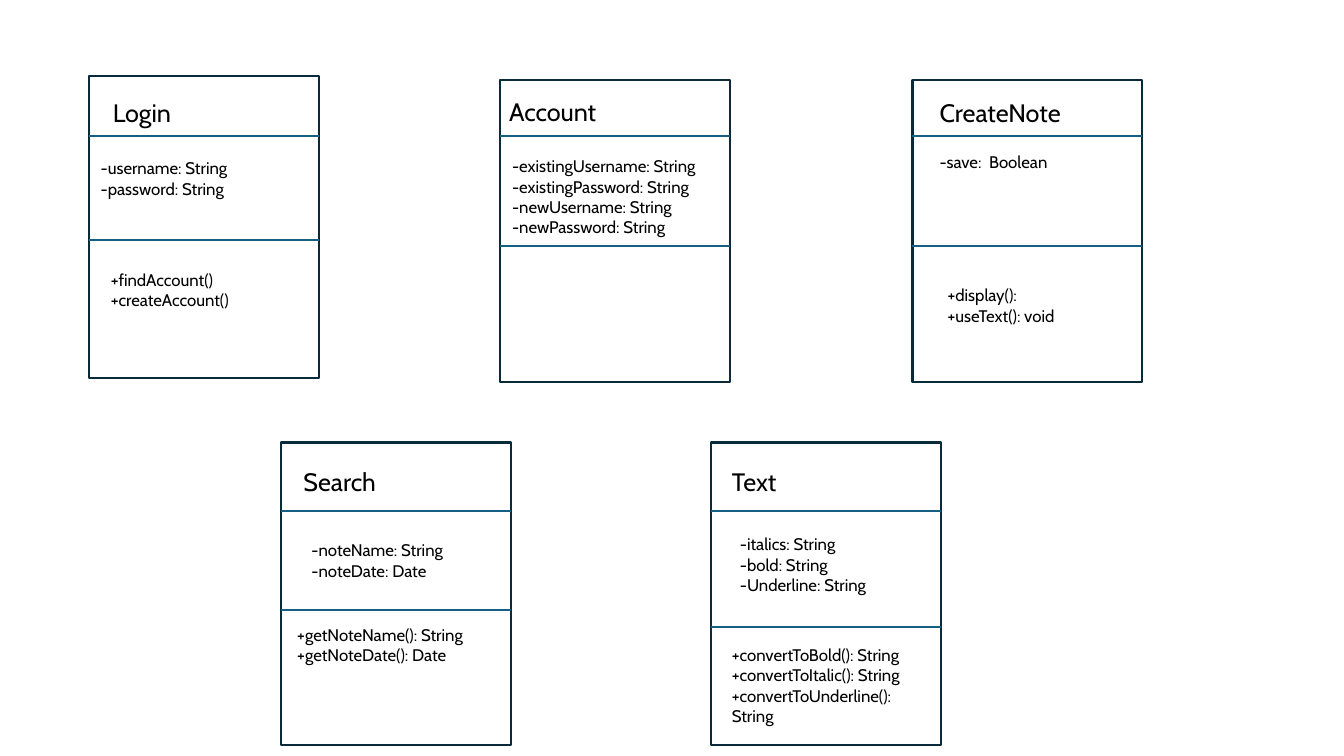
from dataclasses import dataclass

from lxml import etree
from pptx import Presentation
from pptx import util as u
from pptx.dml.color import RGBColor
from pptx.enum import shapes, text
from pptx.oxml.ns import qn

PX = 9144  # EMU per px, 100 px to the inch
CARD_W, CARD_H = 228, 300
TITLE_W, TITLE_H = 189, 40
LINE_H, PADDING_H = 20, 10
BORDER, DIVIDER, INK, PAPER = "092A39", "156082", "000000", "FFFFFF"
FONT = "Cabin"


@dataclass
class Section:
    left: int
    top: int
    width: int
    lines: list[str]


@dataclass
class ClassCard:
    left: int
    top: int
    name: str
    name_left: int
    name_top: int
    dividers: tuple[int, int]
    sections: list[Section]


CARDS = [
    ClassCard(88, 75, "Login", 102, 92, (135, 238), [
        Section(90, 152, 189, ["-username: String", "-password: String"]),
        Section(100, 263, 169, ["+findAccount()", "+createAccount()"]),
    ]),
    ClassCard(496, 79, "Account", 495, 91, (135, 244), [
        Section(498, 150, 228, ["-existingUsername: String", "-existingPassword: String",
                                "-newUsername: String", "-newPassword: String"]),
    ]),
    ClassCard(905, 79, "CreateNote", 922, 92, (135, 244), [
        Section(922, 146, 169, ["-save:  Boolean"]),
        Section(930, 278, 169, ["+display():", "+useText(): void"]),
    ]),
    ClassCard(279, 439, "Search", 291, 458, (507, 605), [
        Section(299, 531, 169, ["-noteName: String", "-noteDate: Date"]),
        Section(285, 615, 194, ["+getNoteName(): String", "+getNoteDate(): Date"]),
    ]),
    ClassCard(705, 439, "Text", 716, 458, (507, 622), [
        Section(724, 525, 169, ["-italics: String", "-bold: String", "-Underline: String"]),
        Section(716, 635, 206, ["+convertToBold(): String", "+convertToItalic(): String",
                                "+convertToUnderline(): String"]),
    ]),
]


def px(length: int) -> u.Emu:
    return u.Emu(length * PX)


def color(hex_code: str) -> RGBColor:
    return RGBColor.from_string(hex_code)


def add_frame(slide, card: ClassCard) -> None:
    frame = slide.shapes.add_shape(shapes.MSO_SHAPE.RECTANGLE, px(card.left), px(card.top),
                                   px(CARD_W), px(CARD_H))
    frame.shadow.inherit = False
    frame.fill.solid()
    frame.fill.fore_color.rgb = color(PAPER)
    frame.line.color.rgb = color(BORDER)
    frame.line.width = u.Pt(1.5)


def add_divider(slide, left: int, y: int) -> None:
    divider = slide.shapes.add_connector(shapes.MSO_CONNECTOR.STRAIGHT, px(left), px(y),
                                         px(left + CARD_W), px(y))
    divider.line.color.rgb = color(DIVIDER)
    divider.line.width = u.Pt(1.5)
    etree.SubElement(divider._element.spPr, qn("a:effectLst"))


def add_label(slide, left: int, top: int, width: int, height: int,
              lines: list[str], size: int) -> None:
    label = slide.shapes.add_textbox(px(left), px(top), px(width), px(height)).text_frame
    label.word_wrap = True
    label.auto_size = text.MSO_AUTO_SIZE.SHAPE_TO_FIT_TEXT
    label.text = "\n".join(lines)
    for paragraph in label.paragraphs:
        for run in paragraph.runs:
            run.font.name = FONT
            run.font.size = u.Pt(size)
            run.font.color.rgb = color(INK)


def add_card(slide, card: ClassCard) -> None:
    add_frame(slide, card)
    for y in card.dividers:
        add_divider(slide, card.left, y)
    # Class name
    add_label(slide, card.name_left, card.name_top, TITLE_W, TITLE_H, [card.name], 18)
    # Attributes and methods
    for section in card.sections:
        # A line that wraps takes one more row
        rows = sum(2 if len(line) > 28 else 1 for line in section.lines)
        add_label(slide, section.left, section.top, section.width,
                  PADDING_H + LINE_H * rows, section.lines, 12)


def main() -> None:
    deck = Presentation()
    deck.slide_width, deck.slide_height = px(1333), px(750)
    diagram = deck.slides.add_slide(deck.slide_layouts[6])
    for card in CARDS:
        add_card(diagram, card)
    deck.save("out.pptx")


if __name__ == "__main__":
    main()
